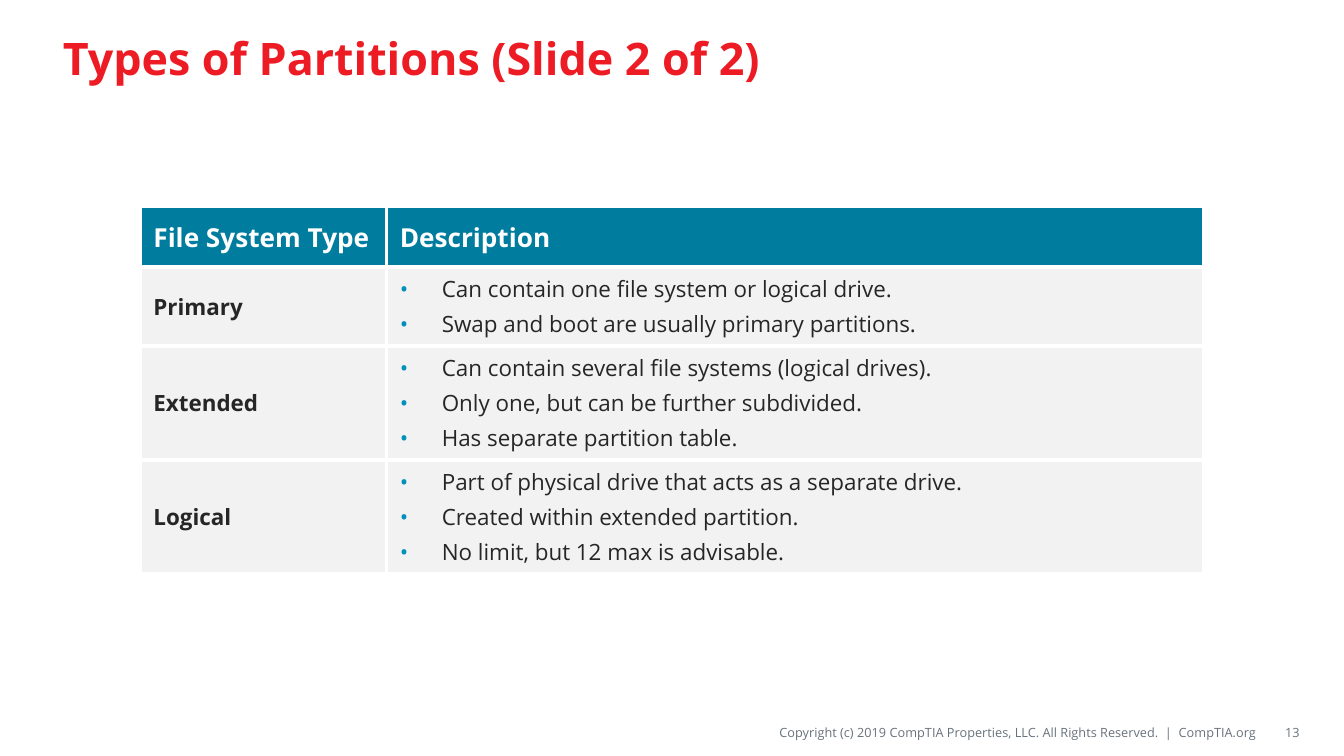
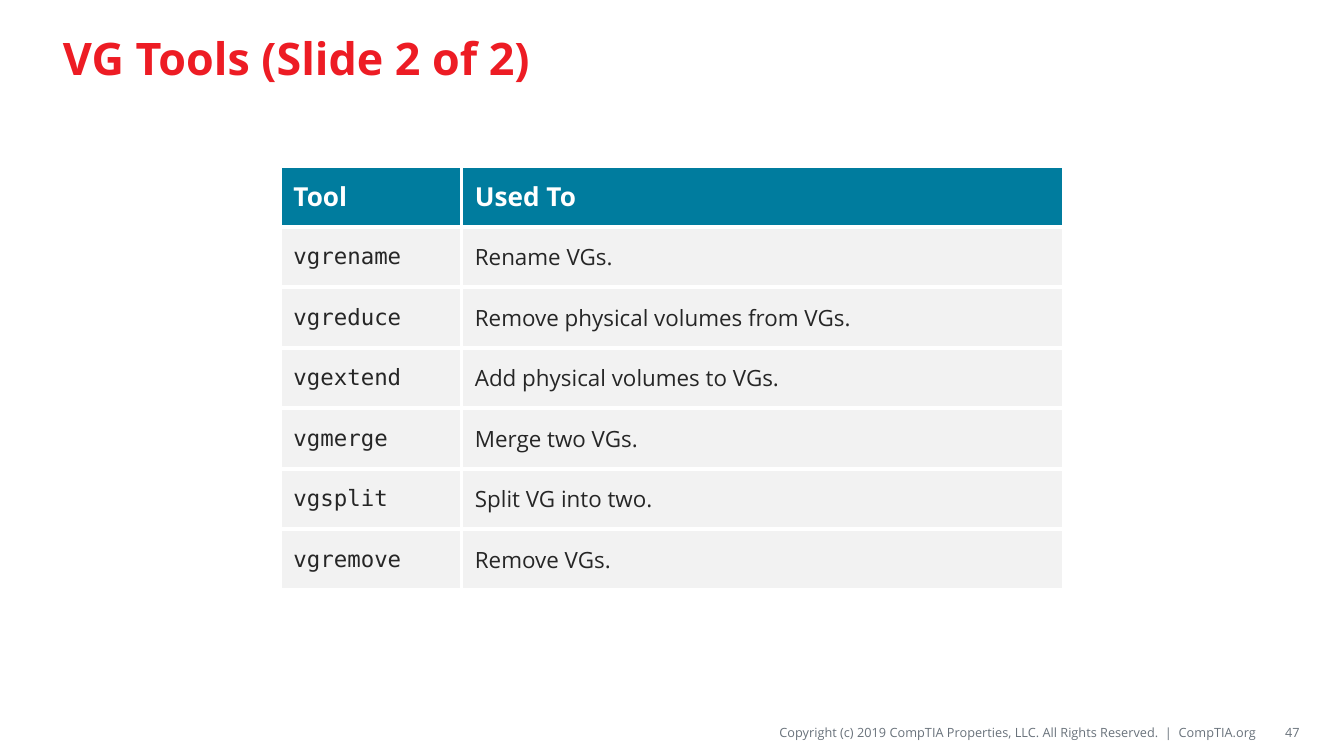
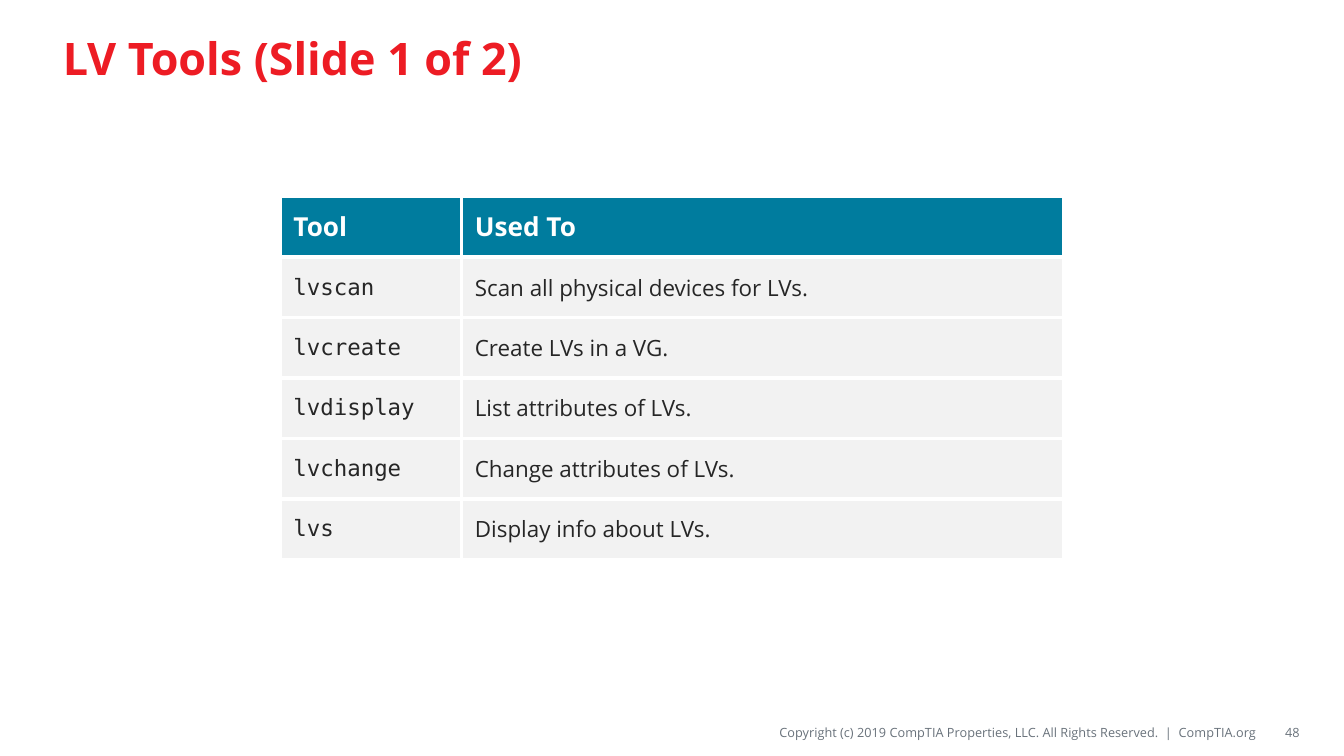
from lxml import etree
from pptx import Presentation
from pptx.dml.color import RGBColor
from pptx.enum.text import MSO_ANCHOR, PP_ALIGN
from pptx.oxml.ns import qn
from pptx.util import Pt

MIDDLE = MSO_ANCHOR.MIDDLE
LEFT, RIGHT = PP_ALIGN.LEFT, PP_ALIGN.RIGHT

PAGE_WIDTH, PAGE_HEIGHT = 720, 405
ROW_HEIGHT = 32.4
BULLET_LINE_HEIGHT, BULLET_ROW_PADDING = 18.75, 4.8
BORDER_WIDTH = 2.25
BULLET_INDENT = 22.5

SANS, MONO = "Open Sans", "DejaVu Sans Mono"
RED, TEAL, BULLET_BLUE = "ED1C24", "007C9E", "0090B9"
WHITE, PALE_GRAY, SLATE, INK = "FFFFFF", "F2F2F2", "69727B", "262626"

COPYRIGHT = ("Copyright (c) 2019 CompTIA Properties, LLC. All Rights Reserved."
             "  |  CompTIA.org")
FOOTER_FORMAT = {"size": 6.8, "color": SLATE, "align": RIGHT}

PARTITION_ROWS = [
    ("File System Type", "Description"),
    ("Primary", ["Can contain one file system or logical drive.",
                 "Swap and boot are usually primary partitions."]),
    ("Extended", ["Can contain several file systems (logical drives).",
                  "Only one, but can be further subdivided.",
                  "Has separate partition table."]),
    ("Logical", ["Part of physical drive that acts as a separate drive.",
                 "Created within extended partition.",
                 "No limit, but 12 max is advisable."]),
]
VG_ROWS = [
    ("Tool", "Used To"),
    ("vgrename", "Rename VGs."),
    ("vgreduce", "Remove physical volumes from VGs."),
    ("vgextend", "Add physical volumes to VGs."),
    ("vgmerge", "Merge two VGs."),
    ("vgsplit", "Split VG into two."),
    ("vgremove", "Remove VGs."),
]
LV_ROWS = [
    ("Tool", "Used To"),
    ("lvscan", "Scan all physical devices for LVs."),
    ("lvcreate", "Create LVs in a VG."),
    ("lvdisplay", "List attributes of LVs."),
    ("lvchange", "Change attributes of LVs."),
    ("lvs", "Display info about LVs."),
]


def rgb(color):
    return RGBColor.from_string(color)


def add_bullet(para):
    properties = para._p.get_or_add_pPr()
    properties.set("marL", str(Pt(BULLET_INDENT)))
    properties.set("indent", str(-Pt(BULLET_INDENT)))
    bullet_color = etree.SubElement(properties, qn("a:buClr"))
    etree.SubElement(bullet_color, qn("a:srgbClr"), val=BULLET_BLUE)
    etree.SubElement(properties, qn("a:buFont"), typeface=SANS)
    etree.SubElement(properties, qn("a:buChar"), char="•")


def write_text(frame, text, size=12, font=SANS, color=INK, bold=False, align=LEFT):
    """Write a string as one paragraph, or a list as bulleted paragraphs."""
    bulleted = isinstance(text, list)
    for index, line in enumerate(text if bulleted else [text]):
        para = frame.add_paragraph() if index else frame.paragraphs[0]
        para.alignment = align
        if index:
            para.space_before = Pt(size * 0.2)
        if bulleted:
            add_bullet(para)
        span = para.add_run()
        span.text = line
        span.font.size = Pt(size)
        span.font.name = font
        span.font.bold = bold
        span.font.color.rgb = rgb(color)


def add_text_box(page, box, text, insets=(7.2, 3.6, 7.2, 3.6), **text_format):
    frame = page.shapes.add_textbox(*map(Pt, box)).text_frame
    frame.word_wrap = True
    frame.vertical_anchor = MIDDLE
    (frame.margin_left, frame.margin_top,
     frame.margin_right, frame.margin_bottom) = map(Pt, insets)
    write_text(frame, text, **text_format)


def style_cell(cell, fill):
    cell.vertical_anchor = MIDDLE
    properties = cell._tc.get_or_add_tcPr()
    for side in ("a:lnL", "a:lnR", "a:lnT", "a:lnB"):
        line = etree.SubElement(properties, qn(side), w=str(Pt(BORDER_WIDTH)))
        line_fill = etree.SubElement(line, qn("a:solidFill"))
        etree.SubElement(line_fill, qn("a:srgbClr"), val=WHITE)
    cell.fill.solid()
    cell.fill.fore_color.rgb = rgb(fill)


def row_height(row):
    """Give a bulleted row room for all its lines."""
    description = row[-1]
    if isinstance(description, list):
        return len(description) * BULLET_LINE_HEIGHT + BULLET_ROW_PADDING
    return ROW_HEIGHT


def add_styled_table(page, rows, widths, top, name_format):
    """Centre a table across the page; name_format is for column one."""
    width = sum(widths)
    heights = [row_height(row) for row in rows]
    box = ((PAGE_WIDTH - width) / 2, top, width, sum(heights))
    table = page.shapes.add_table(len(rows), len(widths), *map(Pt, box)).table
    table.horz_banding = False
    for column, column_width in zip(table.columns, widths):
        column.width = Pt(column_width)
    for row, height in zip(table.rows, heights):
        row.height = Pt(height)

    for row_index, row in enumerate(rows):
        for column_index, text in enumerate(row):
            cell = table.cell(row_index, column_index)
            if row_index == 0:
                fill, text_format = TEAL, {"size": 14, "color": WHITE, "bold": True}
            else:
                fill, text_format = PALE_GRAY, {} if column_index else name_format
            style_cell(cell, fill)
            write_text(cell.text_frame, text, **text_format)


def add_table_page(deck, title, number, rows, widths, top, name_format):
    page = deck.slides.add_slide(deck.slide_layouts[6])
    # Footer
    add_text_box(page, (279.4, 384.5, 393.8, 15.8), COPYRIGHT,
                 insets=(0, 2.9, 0, 2.9), **FOOTER_FORMAT)
    # Title
    add_text_box(page, (26.6, 5.8, 666, 49.7), title, size=24, color=RED, bold=True)
    # Page number
    add_text_box(page, (675.4, 384.5, 20.9, 15.8), number,
                 insets=(7.2, 3.6, 0, 3.6), **FOOTER_FORMAT)
    # Body
    add_styled_table(page, rows, widths, top, name_format)


def add_tool_page(deck, title, number, rows):
    top = (PAGE_HEIGHT - ROW_HEIGHT * len(rows)) / 2
    add_table_page(deck, title, number, rows, (97.2, 322.8), top, {"font": MONO})


def main():
    deck = Presentation()
    deck.slide_width, deck.slide_height = Pt(PAGE_WIDTH), Pt(PAGE_HEIGHT)
    add_table_page(deck, "Types of Partitions (Slide 2 of 2)", "13",
                   PARTITION_ROWS, (132, 438), 110.7, {"bold": True})
    add_tool_page(deck, "VG Tools (Slide 2 of 2)", "47", VG_ROWS)
    add_tool_page(deck, "LV Tools (Slide 1 of 2)", "48", LV_ROWS)
    deck.save("out.pptx")


if __name__ == "__main__":
    main()
